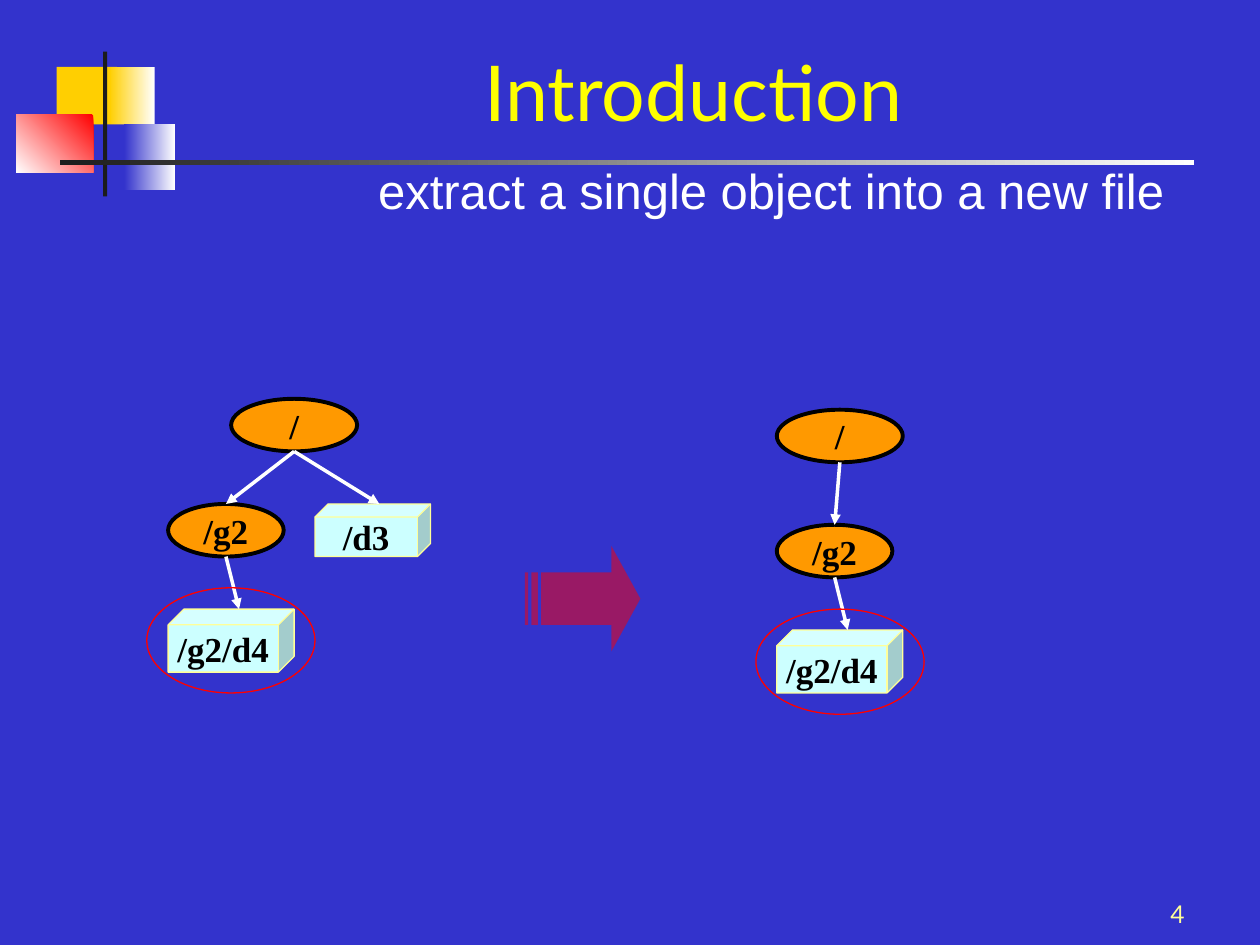
"""Build the slide on extracting a single object into a new file."""
from lxml import etree
from pptx import Presentation
from pptx import util as u
from pptx.dml.color import RGBColor
from pptx.enum import shapes, text
from pptx.oxml import ns

BLUE = RGBColor(0x33, 0x33, 0xCC)
GOLD = RGBColor(0xFF, 0xCF, 0x01)
RED = RGBColor(0xFF, 0x00, 0x00)
DARK = RGBColor(0x1C, 0x1C, 0x1C)
WHITE = RGBColor(0xFF, 0xFF, 0xFF)
BLACK = RGBColor(0x00, 0x00, 0x00)
YELLOW = RGBColor(0xFF, 0xFF, 0x00)
PALE_YELLOW = RGBColor(0xFF, 0xFF, 0x99)
ORANGE = RGBColor(0xFF, 0x99, 0x00)
CYAN = RGBColor(0xCC, 0xFF, 0xFF)
KIND = shapes.MSO_SHAPE
ALIGN = text.PP_ALIGN
ANCHOR = text.MSO_ANCHOR

deck = Presentation()
deck.slide_width, deck.slide_height = u.Cm(25.4), u.Cm(19.05)
page = deck.slides.add_slide(deck.slide_layouts[6])
page.background.fill.solid()
page.background.fill.fore_color.rgb = BLUE


def write(para, words, *, size, font, color, bold=False, align=ALIGN.CENTER):
    para.alignment = align
    span = para.add_run()
    span.text = words
    span.font.size = u.Pt(size)
    span.font.name = font
    span.font.color.rgb = color
    span.font.bold = bold


def draw(kind, frame, *, fill=None, line=None, width=0.75):
    box = page.shapes.add_shape(kind, *(u.Cm(length) for length in frame))
    box.shadow.inherit = False
    if fill is None:
        box.fill.background()
    else:
        box.fill.solid()
        box.fill.fore_color.rgb = fill
    if line is None:
        box.line.fill.background()
    else:
        box.line.color.rgb = line
        box.line.width = u.Pt(width)
    return box


ornaments = [
    ((1.14, 1.35, 1.22, 1.32), (GOLD,), 0),
    ((2.21, 1.35, 0.91, 1.32), (WHITE, GOLD), 180),
    ((1.47, 2.51, 1.17, 1.32), (BLUE,), 0),
    ((2.51, 2.51, 1.02, 1.32), (WHITE, BLUE), 180),
    ((0.33, 2.31, 1.55, 1.17), (RED, WHITE), 225),
    ((2.08, 1.04, 0.08, 2.92), (DARK,), 0),
    ((1.22, 3.23, 22.86, 0.1), (WHITE, DARK), 180),
]
for frame, colors, angle in ornaments:
    box = draw(KIND.RECTANGLE, frame, fill=colors[0])
    if len(colors) == 2:
        box.fill.gradient()
        box.fill.gradient_angle = angle
        for stop, color in zip(box.fill.gradient_stops, colors):
            stop.color.rgb = color

title = page.shapes.add_textbox(u.Cm(3.61), u.Cm(1.47), u.Cm(20.75), u.Cm(3.18)).text_frame
title.word_wrap = True
title.vertical_anchor = ANCHOR.BOTTOM
title.margin_bottom = u.Cm(0.22)
write(title.paragraphs[0], "Introduction", size=44, font="Lato", color=YELLOW)
subtitle = title.add_paragraph()
subtitle.line_spacing = u.Pt(47.3)
write(subtitle, "extract a single object into a new file", size=28, font="Arial", color=WHITE)
subtitle._p.get_or_add_pPr().set("marL", str(u.Cm(3.12)))

groups = {
    "source root": ("/", 4.66, 8.04, 2.54),
    "source g2": ("/g2", 3.39, 10.16, 2.33),
    "result root": ("/", 15.66, 8.26, 2.54),
    "result g2": ("/g2", 15.66, 10.58, 2.33),
}
datasets = {
    "source d3": ("/d3", 6.35, 10.16, 2.33, 1.06),
    "source d4": ("/g2/d4", 3.39, 12.28, 2.54, 1.27),
    "result d4": ("/g2/d4", 15.66, 12.7, 2.54, 1.27),
}
GROUP_HEIGHT = 1.06
tops, bottoms, nodes = {}, {}, []
for name, (label, left, top, width) in groups.items():
    box = draw(KIND.OVAL, (left, top, width, GROUP_HEIGHT), fill=ORANGE, line=BLACK, width=2.25)
    nodes.append((box, label))
    tops[name] = (left + width / 2, top)
    bottoms[name] = (left + width / 2, top + GROUP_HEIGHT)
for name, (label, left, top, width, height) in datasets.items():
    box = draw(KIND.CUBE, (left, top, width, height), fill=CYAN, line=PALE_YELLOW)
    box.text_frame.margin_left = box.text_frame.margin_right = 0
    nodes.append((box, label))
    tops[name] = (left + width / 2 + height / 8, top)
for box, label in nodes:
    box.text_frame.word_wrap = False
    box.text_frame.vertical_anchor = ANCHOR.MIDDLE
    write(box.text_frame.paragraphs[0], label, size=20, font="Times New Roman",
          color=BLACK, bold=True)

links = [
    ("source root", "source g2"),
    ("source root", "source d3"),
    ("source g2", "source d4"),
    ("result root", "result g2"),
    ("result g2", "result d4"),
]
for parent, child in links:
    ends = (u.Cm(length) for length in bottoms[parent] + tops[child])
    link = page.shapes.add_connector(shapes.MSO_CONNECTOR.STRAIGHT, *ends)
    link.line.color.rgb = WHITE
    link.line.width = u.Pt(2)
    etree.SubElement(link.line._get_or_add_ln(), ns.qn("a:tailEnd"), type="triangle")
    etree.SubElement(link._element.spPr, ns.qn("a:effectLst"))

arrow = draw(KIND.STRIPED_RIGHT_ARROW, (10.58, 11.01, 2.33, 2.12), fill=RED)
arrow.adjustments[1] = 0.275
tint = arrow._element.spPr.find(".//" + ns.qn("a:srgbClr"))
etree.SubElement(tint, ns.qn("a:alpha"), val="50000")

for left, top in ((2.96, 11.85), (15.24, 12.28)):
    draw(KIND.OVAL, (left, top, 3.39, 2.12), line=RED)

number = page.shapes.add_textbox(u.Cm(18.84), u.Cm(17.57), u.Cm(5.29), u.Cm(1.27)).text_frame
number.word_wrap = True
number.vertical_anchor = ANCHOR.BOTTOM
write(number.paragraphs[0], "4", size=14, font="Lato", color=PALE_YELLOW, align=ALIGN.RIGHT)

deck.save("out.pptx")
